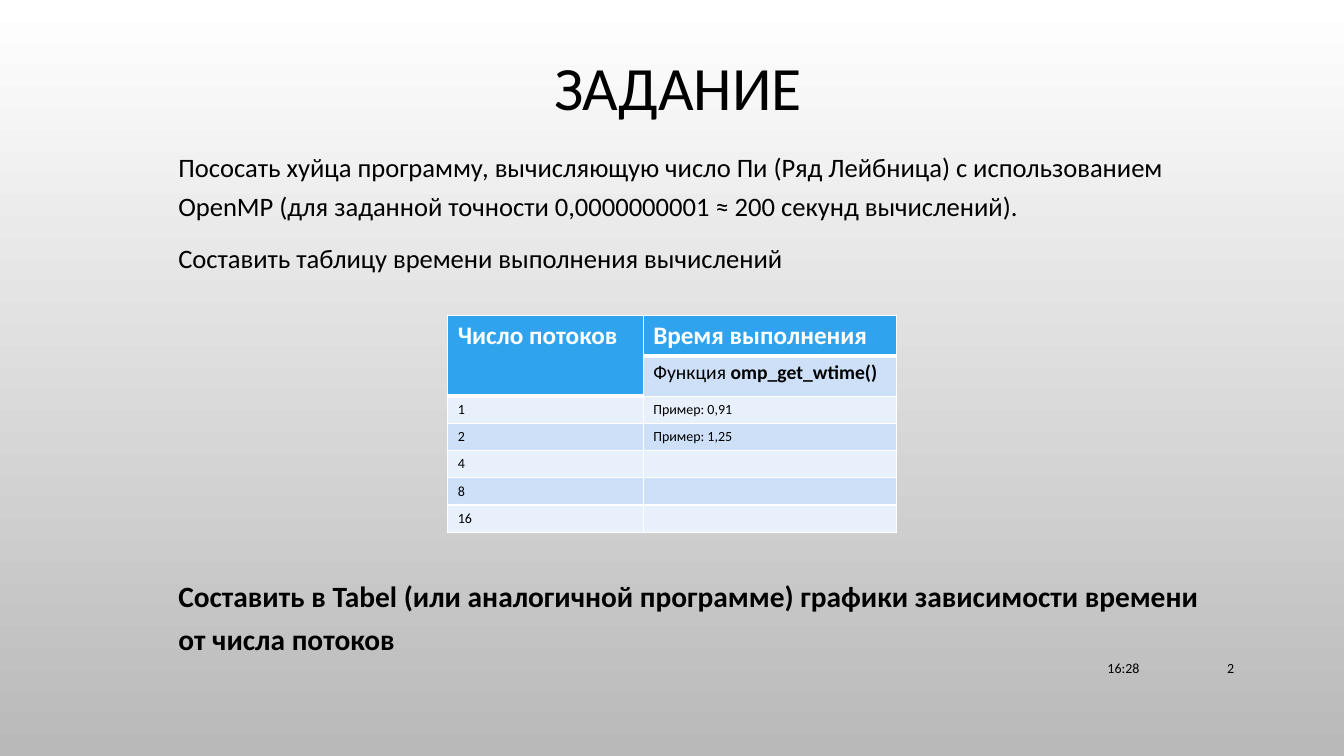
from lxml.etree import SubElement
from pptx import Presentation
from pptx.dml.color import RGBColor
from pptx.enum.text import MSO_ANCHOR as Anchor, PP_ALIGN as Align
from pptx.oxml.ns import qn
from pptx.util import Emu, Inches, Pt

# Content
TITLE = "ЗАДАНИЕ"
TASKS = [
    "Пососать хуйца программу, вычисляющую число Пи (Ряд Лейбница) с использованием "
    "OpenMP (для заданной точности 0,0000000001 ≈ 200 секунд вычислений).",
    "Составить таблицу времени выполнения вычислений",
]
CHART_TASK = ("Составить в Tabel (или аналогичной программе) графики зависимости "
              "времени от числа потоков")
TIME, NUMBER = "16:28", "2"
# Each cell is a list of (text, bold) runs
HEADER = [[("Число потоков", True)], [("Время выполнения", True)]]
SUBHEADER = [[], [("Функция ", False), ("omp_get_wtime()", True)]]
TIMINGS = [("1", "Пример: 0,91"), ("2", "Пример: 1,25"), ("4", ""), ("8", ""), ("16", "")]

# Style
FONT = "Calibri"
COLORS = {"text": "000000", "white": "FFFFFF", "bottom": "B9B9B9",
          "header": "2FA3EE", "dark_band": "CDE0F8", "light_band": "E8F0FC"}
INDENT = 0.12

# Layout in inches: left, top, width, height
TITLE_BOX = (1, 0.41, 11.33, 0.97)
TASKS_BOX = (1.55, 1.39, 10.71, 1.5)
CHART_TASK_BOX = (1.55, 5.62, 10.71, 1)
TIME_BOX = (8.4, 6.43, 3, 0.4)
NUMBER_BOX = (11.5, 6.43, 0.84, 0.4)
TABLE_AT = (4.44, 3.13)
COLUMNS = (1.94, 2.51)
HEAD_ROW, TIMING_ROW = 0.4, 0.27


def rgb(name):
    return RGBColor.from_string(COLORS[name])


def add_run(paragraph, text, size, bold=False, color="text"):
    run = paragraph.add_run()
    run.text = text
    run.font.name, run.font.size, run.font.bold = FONT, Pt(size), bold
    run.font.color.rgb = rgb(color)


def add_text(slide, box, lines, size, bold=False, align=Align.LEFT,
             anchor=Anchor.TOP, spacing=1.0, indent=0):
    frame = slide.shapes.add_textbox(*map(Inches, box)).text_frame
    frame.word_wrap = True
    frame.vertical_anchor = anchor
    for i, line in enumerate(lines):
        paragraph = frame.add_paragraph() if i else frame.paragraphs[0]
        paragraph.alignment, paragraph.line_spacing = align, spacing
        paragraph.space_before = Pt(10 if i else 0)
        if indent:
            properties = paragraph._p.get_or_add_pPr()
            properties.set("marL", str(Inches(indent)))
            properties.set("indent", "0")
        add_run(paragraph, line, size, bold)


def set_borders(cell, bottom):
    properties = cell._tc.get_or_add_tcPr()
    for i, (side, width) in enumerate(zip("LRTB", (1, 1, 1, bottom))):
        line = properties.makeelement(qn(f"a:ln{side}"), {"w": str(Pt(width))})
        properties.insert(i, line)
        fill = SubElement(line, qn("a:solidFill"))
        SubElement(fill, qn("a:srgbClr"), val=COLORS["white"])


def fill_cell(cell, runs, size, fill, color="text", bottom=1):
    cell.fill.solid()
    cell.fill.fore_color.rgb = rgb(fill)
    set_borders(cell, bottom)
    paragraph = cell.text_frame.paragraphs[0]
    for text, bold in runs:
        add_run(paragraph, text, size, bold, color)
    if not runs:  # keeps an empty row as low as the others
        SubElement(paragraph._p, qn("a:endParaRPr"), sz=str(size * 100))


def add_timing_table(slide):
    heights = [HEAD_ROW] * 2 + [TIMING_ROW] * len(TIMINGS)
    size = (sum(COLUMNS), sum(heights))
    table = slide.shapes.add_table(len(heights), len(COLUMNS),
                                   *map(Inches, TABLE_AT + size)).table
    for column, width in zip(table.columns, COLUMNS):
        column.width = Inches(width)
    for row, height in zip(table.rows, heights):
        row.height = Inches(height)

    # Header, with the thread count spanning both head rows
    for c, runs in enumerate(HEADER):
        fill_cell(table.cell(0, c), runs, 18, "header", "white", bottom=3)
    for c, runs in enumerate(SUBHEADER):
        fill_cell(table.cell(1, c), runs, 14, "dark_band", bottom=1 if c else 3)
    table.cell(0, 0).merge(table.cell(1, 0))

    # Banded timings
    for r, timing in enumerate(TIMINGS):
        band = "dark_band" if r % 2 else "light_band"
        for c, text in enumerate(timing):
            runs = [(text, False)] if text else []
            fill_cell(table.cell(r + 2, c), runs, 10, band)


def main():
    deck = Presentation()
    deck.slide_width, deck.slide_height = Inches(13.33), Inches(7.5)
    slide = deck.slides.add_slide(deck.slide_layouts[6])

    # Background, light at the top
    background = slide.background.fill
    background.gradient()
    background.gradient_angle = 270
    for stop, name in zip(background.gradient_stops, ("white", "bottom")):
        stop.color.rgb = rgb(name)

    # Title and tasks
    add_text(slide, TITLE_BOX, [TITLE], 44, align=Align.CENTER,
             anchor=Anchor.MIDDLE, spacing=0.9, indent=INDENT)
    add_text(slide, TASKS_BOX, TASKS, 19, spacing=1.2, indent=INDENT)
    add_text(slide, CHART_TASK_BOX, [CHART_TASK], 21, bold=True, spacing=1.2, indent=INDENT)

    # Footer
    for box, text in ((TIME_BOX, TIME), (NUMBER_BOX, NUMBER)):
        add_text(slide, box, [text], 10, align=Align.RIGHT, anchor=Anchor.MIDDLE)

    add_timing_table(slide)
    deck.save("out.pptx")


if __name__ == "__main__":
    main()
